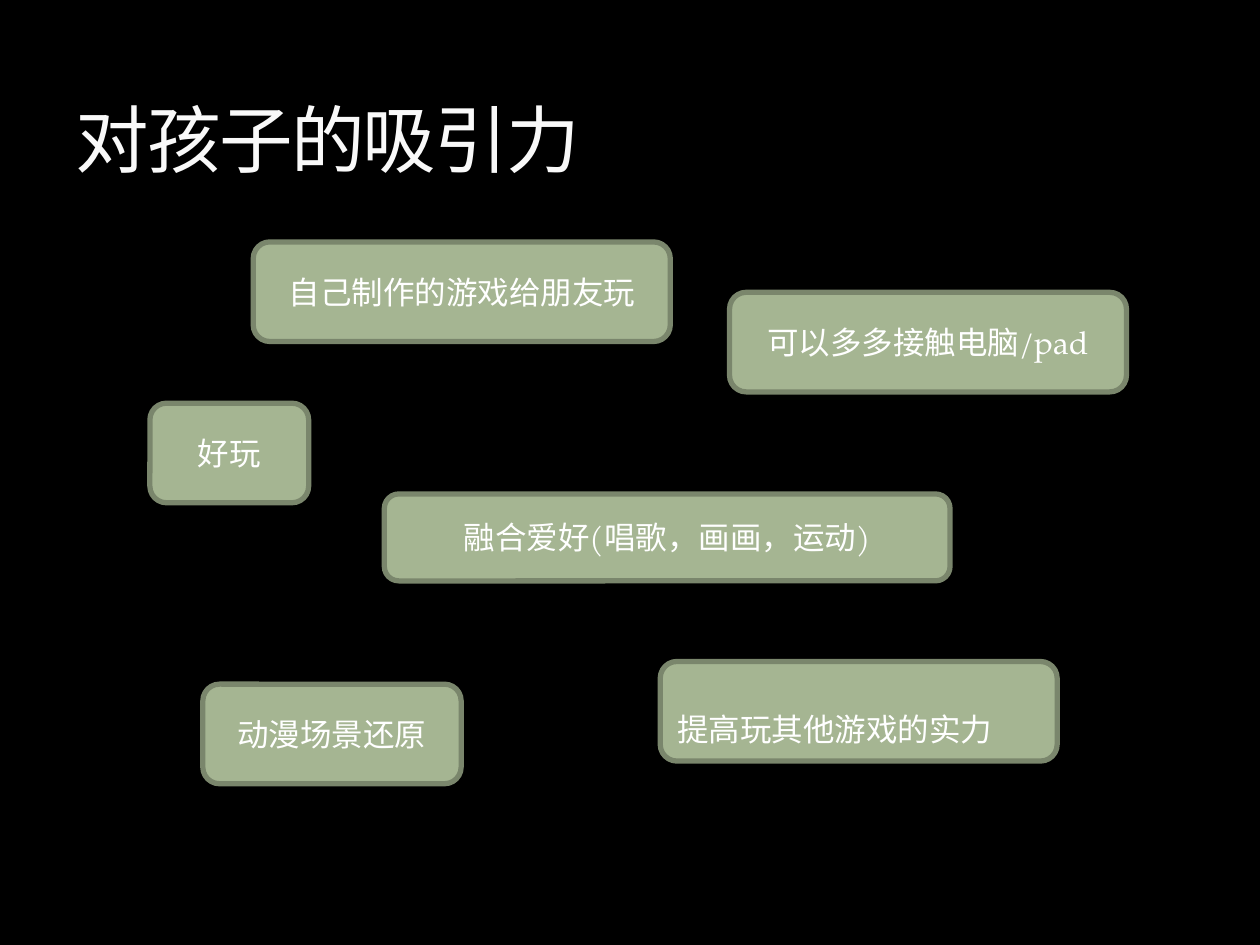
"""Build a slide of rounded labels on why the activity appeals to children."""
from lxml import etree
from pptx import Presentation
from pptx.dml.color import RGBColor
from pptx.enum.shapes import MSO_SHAPE
from pptx.enum.text import MSO_ANCHOR, MSO_AUTO_SIZE, PP_ALIGN
from pptx.oxml.ns import qn
from pptx.util import Inches, Pt

ROUNDED = MSO_SHAPE.ROUNDED_RECTANGLE
MIDDLE, BOTTOM = MSO_ANCHOR.MIDDLE, MSO_ANCHOR.BOTTOM
CENTER, LEFT = PP_ALIGN.CENTER, PP_ALIGN.LEFT
NO_AUTOFIT = MSO_AUTO_SIZE.NONE

FONT = "TeX Gyre Pagella"
BLACK, WHITE, TITLE_WHITE = "000000", "FFFFFF", "F9F9F9"
SAGE, DARK_SAGE, OLIVE = "A5B592", "7A866C", "3C4422"

REASONS = [
    ("自己制作的游戏给朋友玩", 2.01, 1.92, 3.31, 0.79, {}),
    ("提高玩其他游戏的实力", 5.24, 5.25, 3.15, 0.79,
     {"align": LEFT, "top": 0.28, "bottom": 0}),
    ("好玩", 1.19, 3.2, 1.26, 0.79, {}),
    ("可以多多接触电脑/pad", 5.79, 2.32, 3.15, 0.79, {}),
    ("动漫场景还原", 1.61, 5.43, 2.05, 0.79, {}),
    ("融合爱好(唱歌，画画，运动)", 3.05, 3.92, 4.49, 0.69, {}),
]


def paint(color_format, value):
    """Set a colour from a hex string."""
    color_format.rgb = RGBColor.from_string(value)


def write(shape, text, size=18, color=WHITE, align=CENTER, anchor=MIDDLE,
          top=0.05, bottom=0.05):
    """Write one formatted paragraph in a shape and return its run."""
    frame = shape.text_frame
    frame.word_wrap = True
    frame.auto_size = NO_AUTOFIT
    frame.vertical_anchor = anchor
    frame.margin_top, frame.margin_bottom = Inches(top), Inches(bottom)
    paragraph = frame.paragraphs[0]
    paragraph.alignment = align
    run = paragraph.add_run()
    run.text = text
    run.font.name = FONT
    run.font.size = Pt(size)
    paint(run.font.color, color)
    return run


def outline_text(run, color, width, alpha):
    """Give a run a thin translucent outline and tighter letter spacing."""
    properties = run.font._element if hasattr(run.font, "_element") else run._r.get_or_add_rPr()
    properties.set("spc", "-100")
    line = etree.Element(qn("a:ln"), w=str(Pt(width)))
    fill = etree.SubElement(line, qn("a:solidFill"))
    tint = etree.SubElement(fill, qn("a:srgbClr"), val=color)
    etree.SubElement(tint, qn("a:alpha"), val=str(alpha * 1000))
    properties.insert(0, line)


def add_title(slide, text):
    """Place and fill the title placeholder."""
    title = slide.shapes.title
    title.left, title.top = Inches(0.5), Inches(0.17)
    title.width, title.height = Inches(9), Inches(1.33)
    run = write(title, text, size=42, color=TITLE_WHITE, align=LEFT, anchor=BOTTOM)
    outline_text(run, OLIVE, 0.25, 25)


def add_reason(slide, text, left, top, width, height, text_format):
    """Add a rounded label holding one reason."""
    label = slide.shapes.add_shape(
        ROUNDED, Inches(left), Inches(top), Inches(width), Inches(height))
    label.shadow.inherit = False
    label.fill.solid()
    paint(label.fill.fore_color, SAGE)
    paint(label.line.color, DARK_SAGE)
    label.line.width = Pt(3)
    write(label, text, **text_format)


def main():
    """Build and save the slide."""
    deck = Presentation()
    deck.slide_width, deck.slide_height = Inches(10), Inches(7.5)
    slide = deck.slides.add_slide(deck.slide_layouts[5])
    slide.background.fill.solid()
    paint(slide.background.fill.fore_color, BLACK)
    add_title(slide, "对孩子的吸引力")
    for reason in REASONS:
        add_reason(slide, *reason)
    deck.save("out.pptx")


if __name__ == "__main__":
    main()
